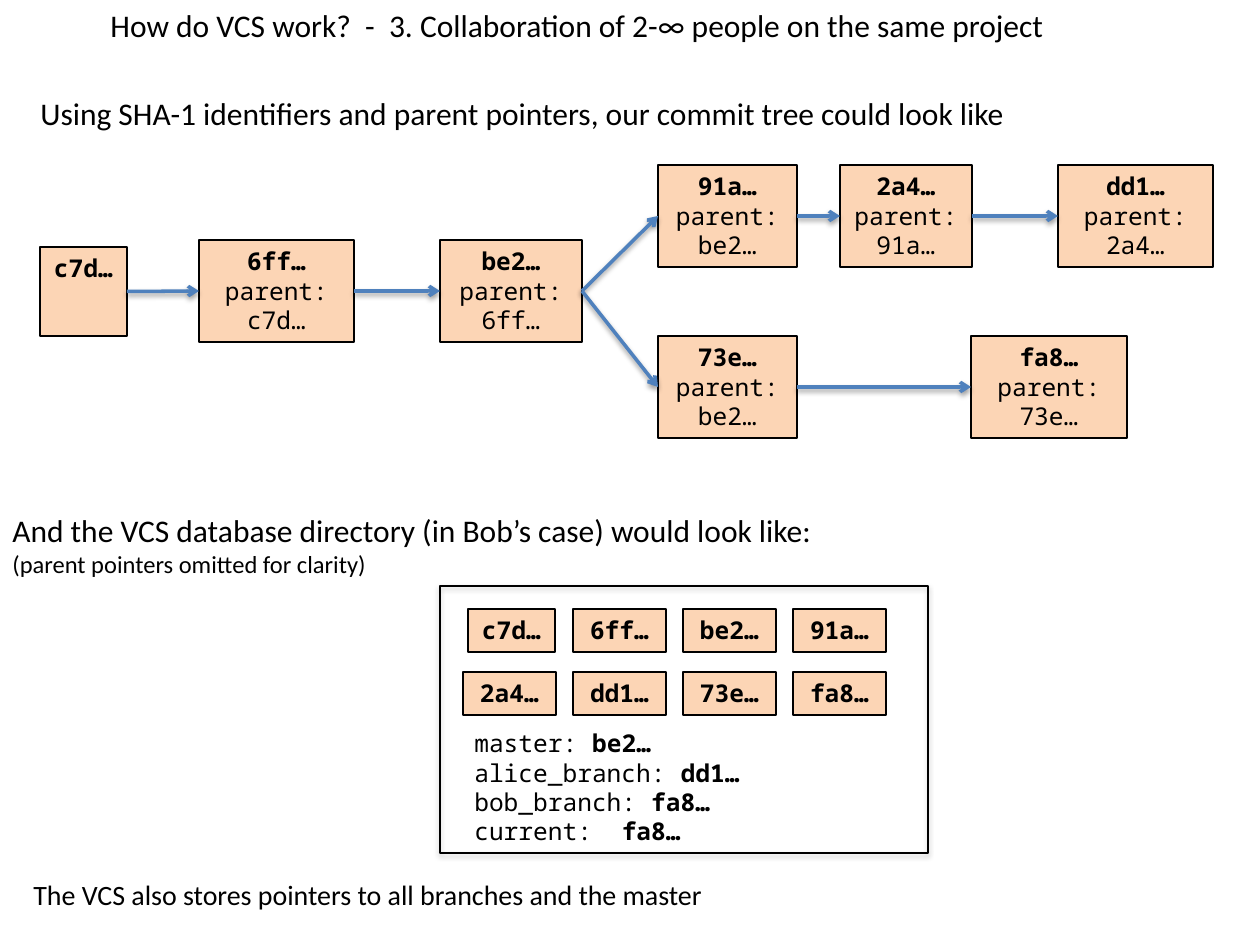
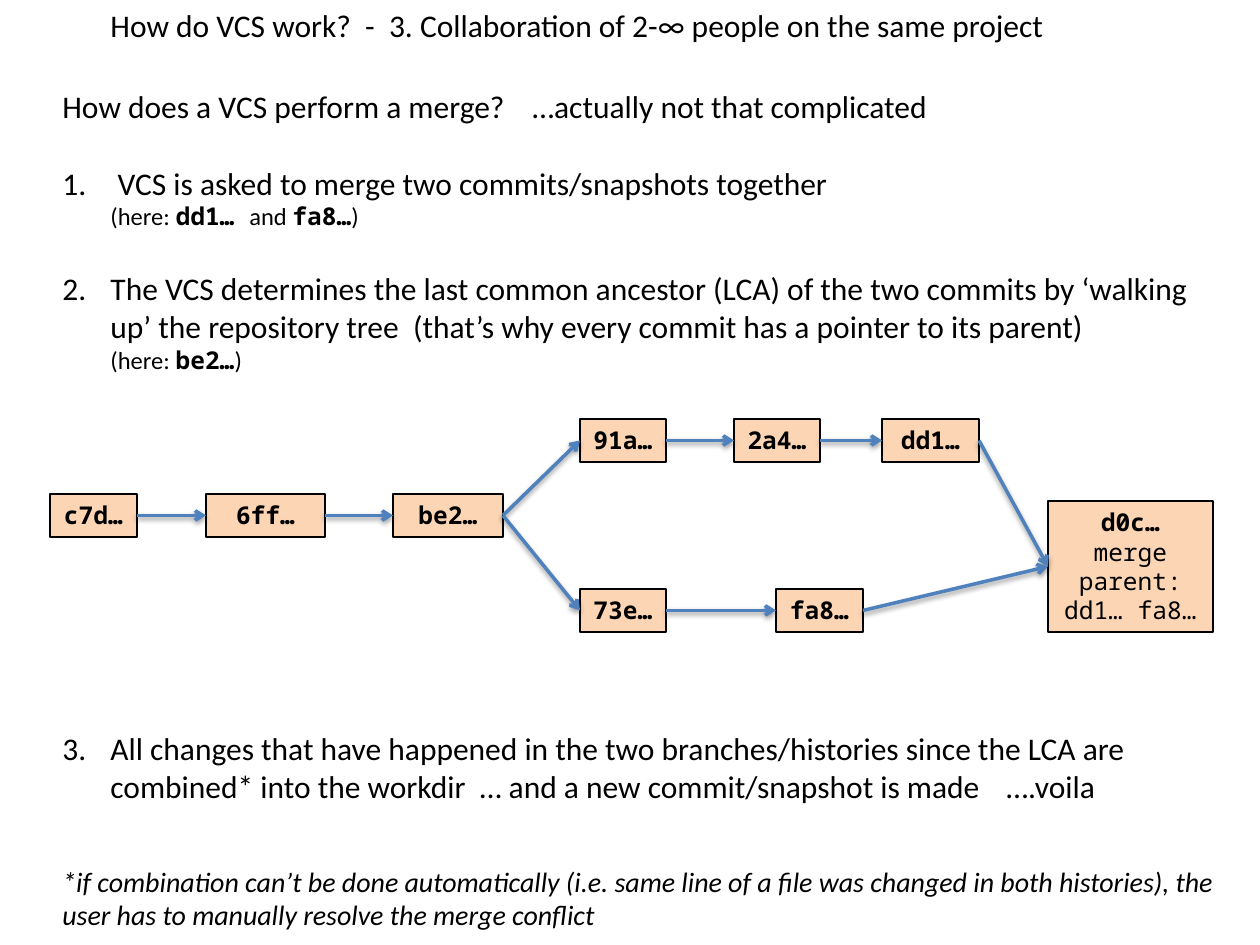
"""Two slides on how a VCS tracks commits and merges branches."""
from lxml.etree import SubElement
from pptx import Presentation
from pptx.dml.color import RGBColor
from pptx.enum.shapes import MSO_CONNECTOR as LINK, MSO_SHAPE as SHAPE
from pptx.enum.text import MSO_ANCHOR as ANCHOR, PP_ALIGN as ALIGN
from pptx.oxml.ns import qn
from pptx.util import Pt

PX = 914400 / 126
COLORS = {"ink": "000000", "node": "FCD5B5", "arrow": "4F81BD"}
INK, NODE, ARROW = (RGBColor.from_string(value) for value in COLORS.values())
FORMATS = {
    "body": {"name": "Calibri", "size": Pt(18)},
    "small": {"name": "Calibri", "size": Pt(14)},
    "closing": {"name": "Calibri", "size": Pt(16)},
    "footnote": {"name": "Calibri", "size": Pt(16), "italic": True},
    "code": {"name": "Noto Sans Mono", "size": Pt(14)},
    "hash": {"name": "Noto Sans Mono", "size": Pt(14), "bold": True},
}
CENTERED = {"alignment": ALIGN.CENTER}
GAP = {"space_before": Pt(22)}
INDENT = 48


def write(box, paragraphs):
    """Fill a box with paragraphs given as runs, layout, number, indent and tab."""
    frame = box.text_frame
    frame.word_wrap = True
    frame.vertical_anchor = ANCHOR.TOP
    for index, (runs, layout, *extra) in enumerate(paragraphs):
        para = frame.add_paragraph() if index else frame.paragraphs[0]
        for key, value in layout.items():
            setattr(para, key, value)
        number, indent, tab = extra or (None, 0, None)
        props = para._p.get_or_add_pPr()
        if indent:
            props.set("marL", str(round(indent * PX)))
        if number:
            props.set("indent", str(round(-indent * PX)))
            SubElement(props, qn("a:buAutoNum"), type="arabicPeriod", startAt=str(number))
        if tab:
            stops = SubElement(props, qn("a:tabLst"))
            SubElement(stops, qn("a:tab"), pos=str(round(tab * PX)), algn="l")
        for text, style in runs:
            span = para.add_run()
            span.text = text
            span.font.color.rgb = INK
            for key, value in FORMATS[style].items():
                setattr(span.font, key, value)


def cast_shadow(item, opacity):
    """Give a shape or connector a soft shadow straight below it."""
    props = item._element.spPr
    effects = props.find(qn("a:effectLst"))
    if effects is None:
        effects = SubElement(props, qn("a:effectLst"))
    shadow = SubElement(effects, qn("a:outerShdw"), blurRad=str(Pt(3.1)),
                        dist=str(Pt(1.6)), dir="5400000", rotWithShape="0")
    color = SubElement(shadow, qn("a:srgbClr"), val=COLORS["ink"])
    SubElement(color, qn("a:alpha"), val=str(opacity * 1000))


deck = Presentation()
deck.slide_width, deck.slide_height = round(1260 * PX), round(945 * PX)

TITLE = ((98, 0, 1114, 51), [
    ([("How do VCS work?  -  3. Collaboration of 2-∞ people on the same project", "body")], {})])

tree_texts = [
    ((28, 88, 1260, 51), [
        ([("Using SHA-1 identifiers and parent pointers, our commit tree could look like", "body")], {})]),
    ((0, 505, 1260, 81), [
        ([("And the VCS database directory (in Bob’s case) would look like:", "body")], {}),
        ([("(parent pointers omitted for clarity)", "small")], {})]),
    ((462, 722, 314, 131), [
        ([(label, "code"), (commit, "hash")], {}) for label, commit in (
            ("master: ", "be2…"), ("alice_branch: ", "dd1…"),
            ("bob_branch: ", "fa8…"), ("current:  ", "fa8…"))]),
    ((21, 871, 1239, 47), [
        ([("The VCS also stores pointers to all branches and the master", "closing")], {})]),
]
merge_texts = [
    ((50, 81, 1163, 348), [
        ([("How does a VCS perform a merge?\t…actually not that complicated", "body")], {}, None, 0, 470),
        ([(" VCS is asked to merge two commits/snapshots together", "body")], GAP, 1, INDENT, None),
        ([("(here: ", "small"), ("dd1… ", "hash"), ("and ", "small"), ("fa8…", "hash"),
          (")", "small")], {}, None, INDENT, None),
        ([("The VCS determines the last common ancestor (LCA) of the two commits by ‘walking up’ "
           "the repository tree  (that’s why every commit has a pointer to its parent)", "body")],
         GAP, 2, INDENT, None),
        ([("(here: ", "small"), ("be2…", "hash"), (")", "small")], {}, None, INDENT, None)]),
    ((50, 723, 1163, 126), [
        ([("All changes that have happened in the two branches/histories since the LCA are "
           "combined* into the workdir  … and a new commit/snapshot is made\t….voila", "body")],
         {}, 3, INDENT, 944)]),
    ((50, 858, 1210, 81), [
        ([("*if combination can’t be done automatically (i.e. same line of a file was changed in "
           "both histories), the user has to manually resolve the merge conflict", "footnote")], {})]),
]

tree_nodes = [
    ("c7d…", (40, 247, 87, 89), []),
    ("6ff…", (199, 240, 155, 102), ["parent: c7d…"]),
    ("be2…", (440, 240, 142, 102), ["parent: 6ff…"]),
    ("91a…", (658, 165, 139, 102), ["parent: be2…"]),
    ("2a4…", (840, 165, 132, 102), ["parent: 91a…"]),
    ("dd1…", (1058, 165, 155, 102), ["parent: 2a4…"]),
    ("73e…", (658, 336, 139, 102), ["parent: be2…"]),
    ("fa8…", (971, 336, 156, 102), ["parent: 73e…"]),
]
merge_nodes = [
    ("c7d…", (50, 494, 87, 43), []),
    ("6ff…", (206, 494, 119, 43), []),
    ("be2…", (393, 494, 110, 43), []),
    ("91a…", (580, 419, 86, 43), []),
    ("2a4…", (734, 419, 86, 43), []),
    ("dd1…", (882, 419, 97, 43), []),
    ("73e…", (580, 589, 86, 43), []),
    ("fa8…", (776, 589, 87, 43), []),
    ("d0c…", (1048, 501, 165, 131), ["merge", "parent: dd1… fa8…"]),
]
stored_nodes = [
    (commit, (463 + 110 * (index % 4), 609 + 63 * (index // 4), 93, 43), [])
    for index, (commit, *_) in enumerate(tree_nodes)]
stored_nodes[0] = ("c7d…", (468, 609, 87, 43), [])

links = [("c7d…", "6ff…"), ("6ff…", "be2…"), ("be2…", "91a…"), ("be2…", "73e…"),
         ("91a…", "2a4…"), ("2a4…", "dd1…"), ("73e…", "fa8…")]
merge_links = links + [("dd1…", "d0c…"), ("fa8…", "d0c…")]
directory_frame = (440, 586, 488, 267)

for texts, nodes, arrows, frames, stored in (
        (tree_texts, tree_nodes, links, [directory_frame], stored_nodes),
        (merge_texts, merge_nodes, merge_links, [], [])):
    page = deck.slides.add_slide(deck.slide_layouts[6])

    for area in frames:
        directory = page.shapes.add_shape(SHAPE.RECTANGLE, *(round(n * PX) for n in area))
        directory.shadow.inherit = False
        directory.fill.background()
        directory.line.color.rgb = INK
        directory.line.width = Pt(0.75)
        cast_shadow(directory, 35)

    for area, paragraphs in [TITLE] + texts:
        write(page.shapes.add_textbox(*(round(n * PX) for n in area)), paragraphs)

    commits = {}
    for commit, area, details in stored + nodes:
        box = page.shapes.add_shape(SHAPE.RECTANGLE, *(round(n * PX) for n in area))
        box.shadow.inherit = False
        box.fill.solid()
        box.fill.fore_color.rgb = NODE
        box.line.color.rgb = INK
        box.line.width = Pt(0.75)
        write(box, [([(commit, "hash")], CENTERED)]
              + [([(detail, "code")], CENTERED) for detail in details])
        commits[commit] = box

    for parent, child in arrows:
        arrow = page.shapes.add_connector(LINK.STRAIGHT, 0, 0, 0, 0)
        arrow.begin_connect(commits[parent], 3)
        arrow.end_connect(commits[child], 1)
        arrow.line.color.rgb = ARROW
        arrow.line.width = Pt(2)
        SubElement(arrow.line._get_or_add_ln(), qn("a:tailEnd"), type="arrow")
        cast_shadow(arrow, 38)

deck.save("out.pptx")
